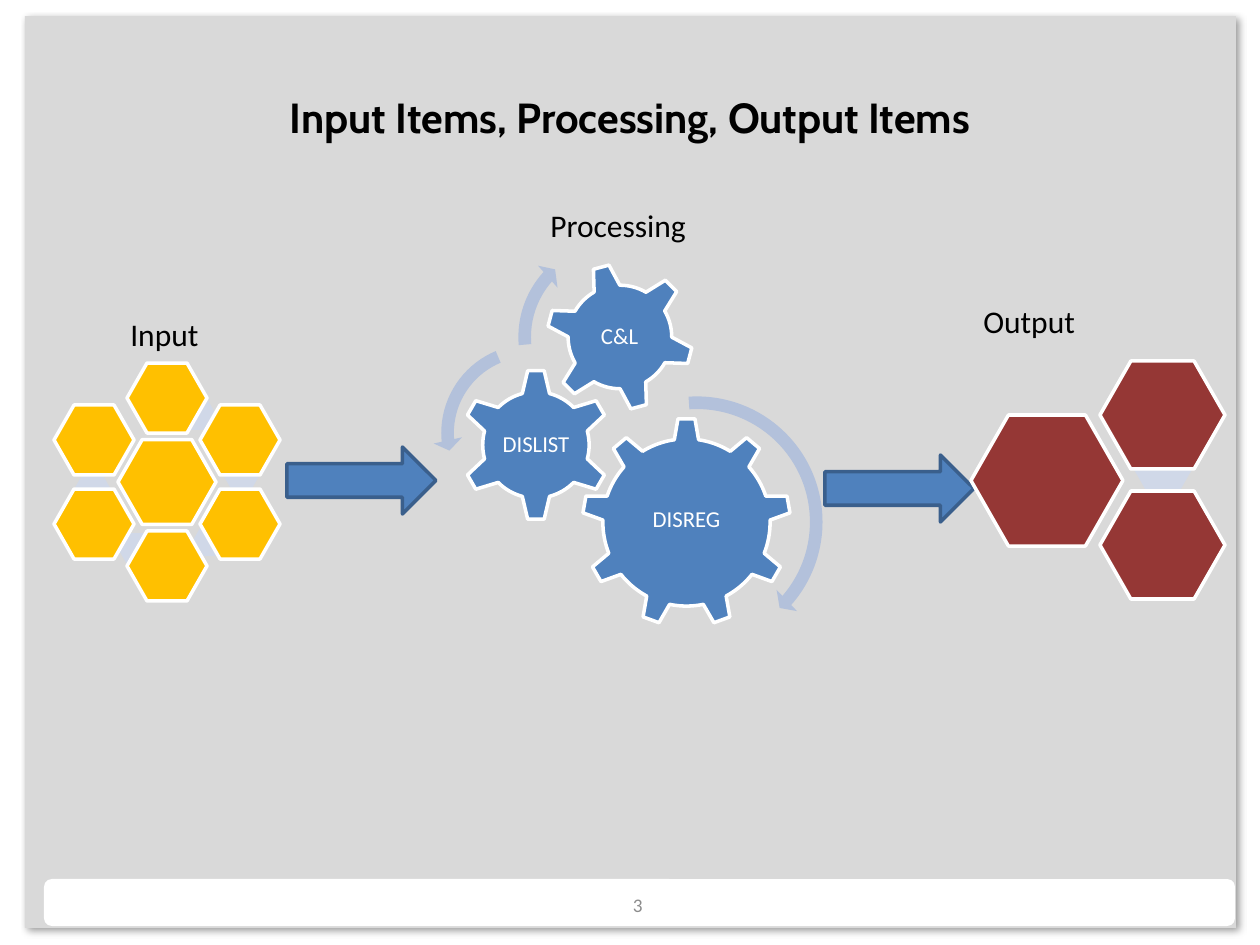
from lxml.etree import SubElement
from pptx import Presentation
from pptx.dml.color import RGBColor
from pptx.enum.shapes import MSO_SHAPE
from pptx.enum.text import MSO_ANCHOR, PP_ALIGN
from pptx.oxml import parse_xml
from pptx.oxml.ns import nsdecls, qn
from pptx.util import Pt

EMU_PER_PX = 914400 / 126

TITLE = "Input Items, Processing, Output Items"
LABELS = [("Input", 118, 309), ("Processing", 538, 200), ("Output", 971, 296)]
PAGE_NUMBER = "3"

BLUE, PALE_BLUE, DARK_BLUE = "4F81BD", "B3C1DB", "3A5F8C"
YELLOW, RED, PALE, WHITE, BLACK = "FFC000", "953735", "D0D8E8", "FFFFFF", "000000"

GEARS = [
    ("DISREG", MSO_SHAPE.GEAR_9, (582, 418, 209, 209), 0, (624, 467, 125, 107)),
    ("DISLIST", MSO_SHAPE.GEAR_6, (460, 369, 152, 152), 0, (498, 407, 76, 76)),
    ("C&L", MSO_SHAPE.GEAR_6, (546, 263, 148, 148), 345, (578, 296, 83, 83)),
]
TURNS = [
    (MSO_SHAPE.CIRCULAR_ARROW, (563, 388, 268, 268), (0.047, 2.99, 24.681, 159.691, 0.055)),
    (MSO_SHAPE.LEFT_CIRCULAR_ARROW, (433, 336, 194, 194), (0.065, 4.3, 104.891, 148.378, 0.075)),
    (MSO_SHAPE.CIRCULAR_ARROW, (510, 232, 210, 210), (0.06, 3.941, 133.138, 105.082, 0.07)),
]
FLOW_ARROWS = [(287, 447, 149, 67), (825, 455, 149, 67)]

INPUT_CENTRE = (167, 482)
INPUT_STEP = (73, 42)
INPUT_RING = [(0, -2), (1, -1), (1, 1), (0, 2), (-1, 1), (-1, -1)]
INPUT_LINKS = [(179, 399), (223, 459), (193, 525), (118, 533), (74, 474)]
OUTPUT_HEXAGONS = [(971, 415, 152, 131), (1100, 361, 125, 108), (1100, 491, 125, 108)]
OUTPUT_LINK = (1134, 445, 58, 49)


def px(value):
    return round(value * EMU_PER_PX)


def colour(code):
    return RGBColor.from_string(code)


def add_shape(shapes, kind, area, fill, line=None, adjustments=()):
    shape = shapes.add_shape(kind, *map(px, area))
    shape.shadow.inherit = False
    shape.fill.solid()
    shape.fill.fore_color.rgb = colour(fill)
    if line:
        shape.line.color.rgb = colour(line)
        shape.line.width = Pt(2)
    else:
        shape.line.fill.background()
    for index, value in enumerate(adjustments):
        shape.adjustments[index] = value
    return shape


def add_hexagon(shapes, area, fill, line=WHITE):
    add_shape(shapes, MSO_SHAPE.HEXAGON, area, fill, line, (0.286, 1.155))


def write(box, text, size, code, align=PP_ALIGN.LEFT, anchor=MSO_ANCHOR.TOP,
          font="Calibri", bold=False):
    frame = box.text_frame
    frame.word_wrap = True
    frame.vertical_anchor = anchor
    frame.text = text
    para = frame.paragraphs[0]
    para.alignment = align
    span = para.runs[0].font
    span.name, span.size, span.bold = font, Pt(size), bold
    span.color.rgb = colour(code)
    return frame


def add_text(shapes, area, *args, **options):
    return write(shapes.add_textbox(*map(px, area)), *args, **options)


def add_backdrop(page):
    panel = add_shape(page.shapes, MSO_SHAPE.RECTANGLE, (25, 16, 1211, 912), "D9D9D9")
    effects = panel.element.spPr.find(qn("a:effectLst"))
    effects.append(parse_xml(
        f'<a:outerShdw {nsdecls("a")} blurRad="50800" dist="38100" dir="2700000" algn="tl">'
        '<a:srgbClr val="000000"><a:alpha val="40000"/></a:srgbClr></a:outerShdw>'))
    footer = add_shape(page.shapes, MSO_SHAPE.ROUNDED_RECTANGLE, (44, 879, 1191, 47), WHITE)
    master_tree = page.slide_layout.slide_master.shapes.element
    for shape in (panel, footer):
        master_tree.append(shape.element)


def add_processing(page):
    shapes = page.shapes.add_group_shape().shapes
    for name, kind, area, rotation, text_area in GEARS:
        add_shape(shapes, kind, area, BLUE, WHITE).rotation = rotation
        frame = add_text(shapes, text_area, name, 13, WHITE, PP_ALIGN.CENTER, MSO_ANCHOR.MIDDLE)
        frame.margin_left = frame.margin_right = frame.margin_top = frame.margin_bottom = px(2)
        frame.paragraphs[0].line_spacing = 0.9
    for kind, area, adjustments in TURNS:
        add_shape(shapes, kind, area, PALE_BLUE, adjustments=adjustments)


def add_output(page):
    shapes = page.shapes.add_group_shape().shapes
    add_hexagon(shapes, OUTPUT_LINK, PALE, None)
    for area in OUTPUT_HEXAGONS:
        add_hexagon(shapes, area, RED)


def add_input(page):
    shapes = page.shapes.add_group_shape().shapes
    for left, top in INPUT_LINKS:
        add_hexagon(shapes, (left, top, 37, 31), PALE, None)
    centre_x, centre_y = INPUT_CENTRE
    step_x, step_y = INPUT_STEP
    for column, row in [(0, 0)] + INPUT_RING:
        width, height = (80, 70) if (column, row) != (0, 0) else (98, 85)
        left = centre_x + column * step_x - width / 2
        top = centre_y + row * step_y - height / 2
        add_hexagon(shapes, (left, top, width, height), YELLOW)


def main():
    deck = Presentation()
    deck.slide_width, deck.slide_height = px(1260), px(945)
    page = deck.slides.add_slide(deck.slide_layouts[5])
    add_backdrop(page)

    title = page.shapes.title
    title.left, title.top, title.width, title.height = map(px, (63, 38, 1134, 158))
    write(title, TITLE, 24, BLACK, PP_ALIGN.CENTER, MSO_ANCHOR.MIDDLE, "Cabin", True)

    add_processing(page)
    add_text(page.shapes, (362, 880, 293, 50), PAGE_NUMBER, 11, "8C8C8C",
             PP_ALIGN.RIGHT, MSO_ANCHOR.MIDDLE)
    for area in FLOW_ARROWS:
        add_shape(page.shapes, MSO_SHAPE.RIGHT_ARROW, area, BLUE, DARK_BLUE)
    add_output(page)
    add_input(page)
    for text, left, top in LABELS:
        add_text(page.shapes, (left, top, 339, 50), text, 18, BLACK)

    deck.save("out.pptx")


if __name__ == "__main__":
    main()
